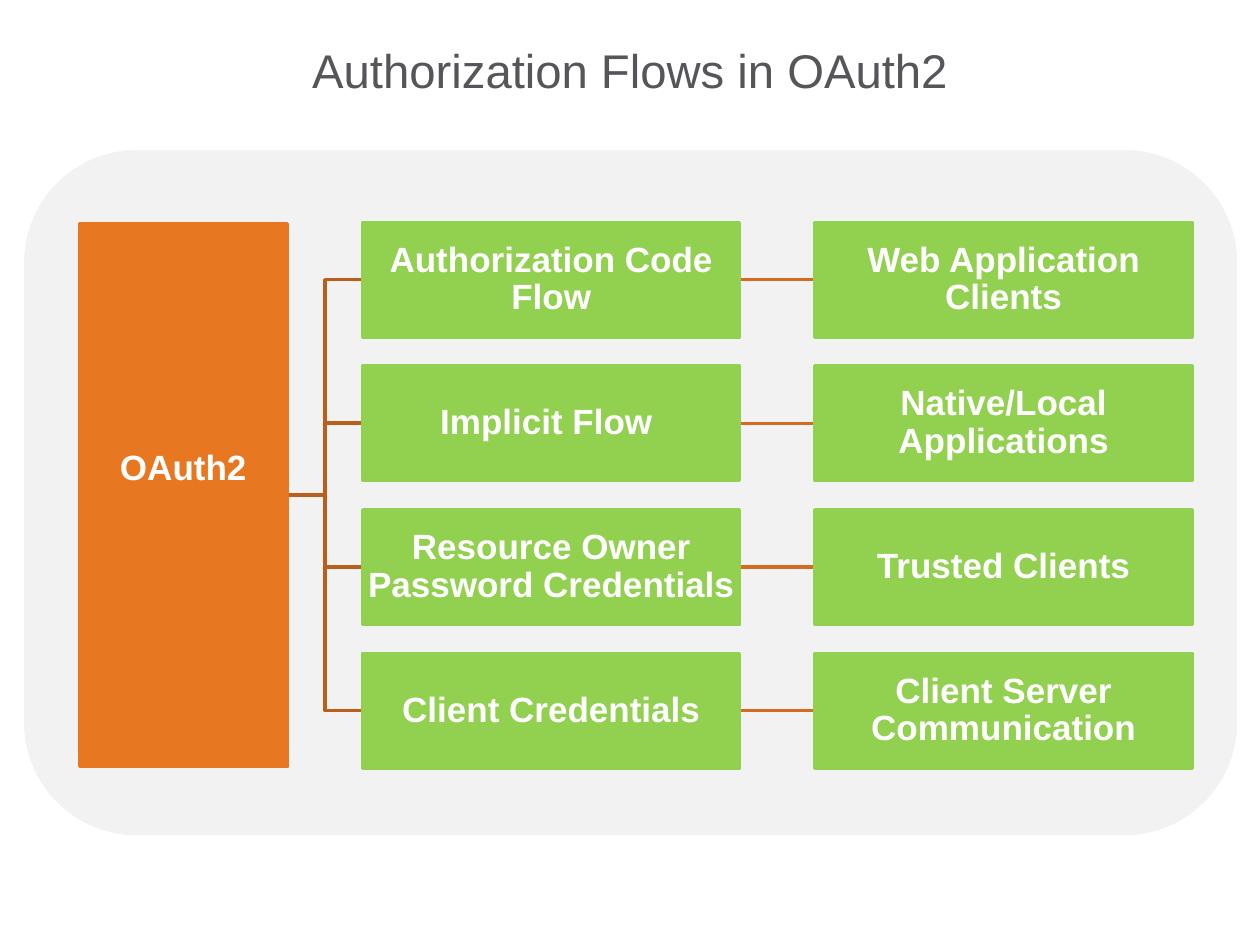
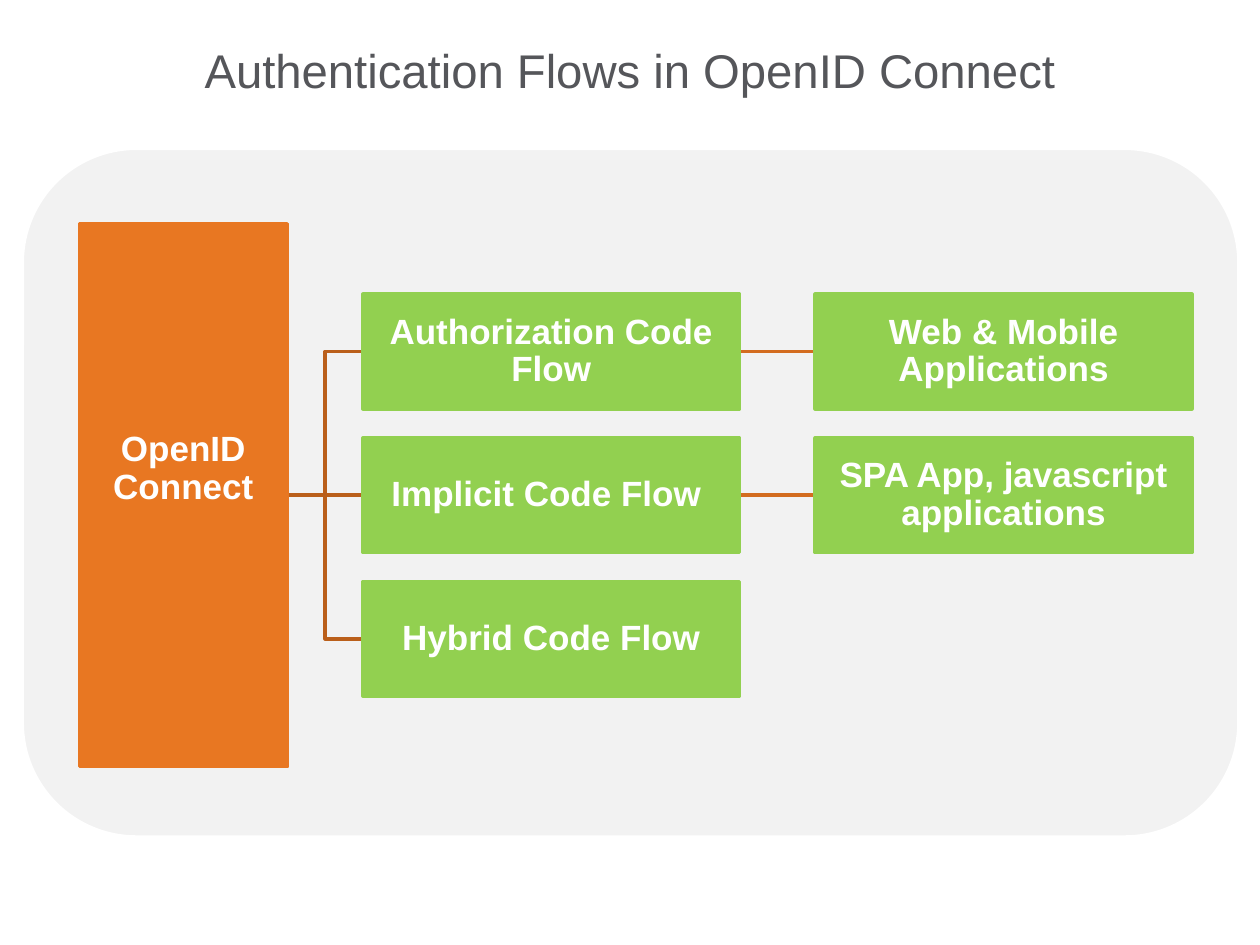
from dataclasses import dataclass

from lxml import etree
from pptx import Presentation
from pptx import util as u
from pptx.dml.color import RGBColor
from pptx.enum import shapes, text
from pptx.oxml import ns

GREY_TEXT = RGBColor(0x55, 0x56, 0x5A)
PANEL_GREY = RGBColor(0xF2, 0xF2, 0xF2)
WHITE = RGBColor(0xFF, 0xFF, 0xFF)
ORANGE = RGBColor(0xE8, 0x77, 0x22)
GREEN = RGBColor(0x92, 0xD0, 0x50)
BRANCH_BROWN = RGBColor(0xBA, 0x5F, 0x1B)
LINK_ORANGE = RGBColor(0xD3, 0x6C, 0x1F)

FONT = "Arial"
MIDDLE = 3.93
ROW_PITCH = 1.14
BOX_WIDTH, BOX_HEIGHT = 2.99, 0.91
FLOW_LEFT, CLIENT_LEFT = 2.88, 6.47
ROOT_LEFT, ROOT_WIDTH, ROOT_HEIGHT = 0.63, 1.65, 4.31
ROOT_TEXT_LIFT = 0.42
LEFT_SIDE, RIGHT_SIDE = 1, 3


@dataclass(frozen=True)
class Flow:
    name: str
    clients: str = ""


@dataclass(frozen=True)
class FlowTree:
    title: str
    root: str
    flows: tuple[Flow, ...]


TREES = (
    FlowTree(
        "Authorization Flows in OAuth2",
        "OAuth2",
        (
            Flow("Authorization Code Flow", "Web Application Clients"),
            Flow("Implicit Flow ", "Native/Local Applications"),
            Flow("Resource Owner Password Credentials", "Trusted Clients"),
            Flow("Client Credentials", "Client Server Communication"),
        ),
    ),
    FlowTree(
        "Authentication Flows in OpenID Connect",
        "OpenID Connect",
        (
            Flow("Authorization Code Flow", "Web & Mobile Applications"),
            Flow("Implicit Code Flow ", "SPA App, javascript applications"),
            Flow("Hybrid Code Flow"),
        ),
    ),
)


def set_all(target, values: dict) -> None:
    for name, value in values.items():
        setattr(target, name, value)


def write(shape, words: str, size: int, color: RGBColor, bold: bool,
          anchor, inset: float, bottom: float, spacing: float) -> None:
    frame = shape.text_frame
    set_all(frame, {
        "word_wrap": True,
        "auto_size": text.MSO_AUTO_SIZE.NONE,
        "vertical_anchor": anchor,
        "margin_left": u.Inches(inset),
        "margin_right": u.Inches(inset),
        "margin_top": u.Inches(inset),
        "margin_bottom": u.Inches(bottom),
    })
    para = frame.paragraphs[0]
    set_all(para, {"alignment": text.PP_ALIGN.CENTER, "line_spacing": spacing})
    span = para.add_run()
    span.text = words
    set_all(span.font, {"name": FONT, "size": u.Pt(size), "bold": bold})
    span.font.color.rgb = color


def add_title(page, words: str) -> None:
    title = page.shapes.title
    set_all(title, {"left": u.Inches(0.5), "top": u.Inches(0.3),
                    "width": u.Inches(9), "height": u.Inches(0.48)})
    write(title, words, 27, GREY_TEXT, False, text.MSO_ANCHOR.BOTTOM, 0, 0, 1.0)


def add_block(page, kind, left: float, top: float, width: float, height: float,
              fill: RGBColor, outline: RGBColor, weight: float):
    block = page.shapes.add_shape(kind, u.Inches(left), u.Inches(top),
                                  u.Inches(width), u.Inches(height))
    block.shadow.inherit = False
    block.fill.solid()
    block.fill.fore_color.rgb = fill
    block.line.color.rgb = outline
    block.line.width = u.Pt(weight)
    return block


def add_box(page, words: str, left: float, center: float, width: float,
            height: float, color: RGBColor, bottom: float = 0.01):
    """Draw a labelled rectangle centred vertically on the given height."""
    box = add_block(page, shapes.MSO_SHAPE.RECTANGLE, left, center - height / 2,
                    width, height, color, color, 2)
    write(box, words, 20, WHITE, True, text.MSO_ANCHOR.MIDDLE, 0.01, bottom, 0.9)
    return box


def join(page, panel, start, end, kind, color: RGBColor) -> None:
    """Connect two boxes side to side, with the line just above the panel."""
    line = page.shapes.add_connector(kind, 0, 0, 0, 0)
    line.begin_connect(start, RIGHT_SIDE)
    line.end_connect(end, LEFT_SIDE)
    line.line.color.rgb = color
    line.line.width = u.Pt(2)
    etree.SubElement(line.element.spPr, ns.qn("a:effectLst"))
    panel.element.addnext(line.element)


def draw_tree(deck, tree: FlowTree) -> None:
    page = deck.slides.add_slide(deck.slide_layouts.get_by_name("Title Only"))
    add_title(page, tree.title)
    panel = add_block(page, shapes.MSO_SHAPE.ROUNDED_RECTANGLE,
                      0.17, 1.17, 9.67, 5.48, PANEL_GREY, WHITE, 3)
    root = add_box(page, tree.root, ROOT_LEFT, MIDDLE, ROOT_WIDTH, ROOT_HEIGHT,
                   ORANGE, ROOT_TEXT_LIFT)
    straight, elbow = shapes.MSO_CONNECTOR.STRAIGHT, shapes.MSO_CONNECTOR.ELBOW
    for row, flow in enumerate(tree.flows):
        offset = row - (len(tree.flows) - 1) / 2
        center = MIDDLE + offset * ROW_PITCH
        flow_box = add_box(page, flow.name, FLOW_LEFT, center,
                           BOX_WIDTH, BOX_HEIGHT, GREEN)
        join(page, panel, root, flow_box, elbow if offset else straight, BRANCH_BROWN)
        if flow.clients:
            client_box = add_box(page, flow.clients, CLIENT_LEFT, center,
                                 BOX_WIDTH, BOX_HEIGHT, GREEN)
            join(page, panel, flow_box, client_box, straight, LINK_ORANGE)


def main() -> None:
    deck = Presentation()
    deck.slide_width, deck.slide_height = u.Inches(10), u.Inches(7.5)
    for tree in TREES:
        draw_tree(deck, tree)
    deck.save("out.pptx")


if __name__ == "__main__":
    main()
